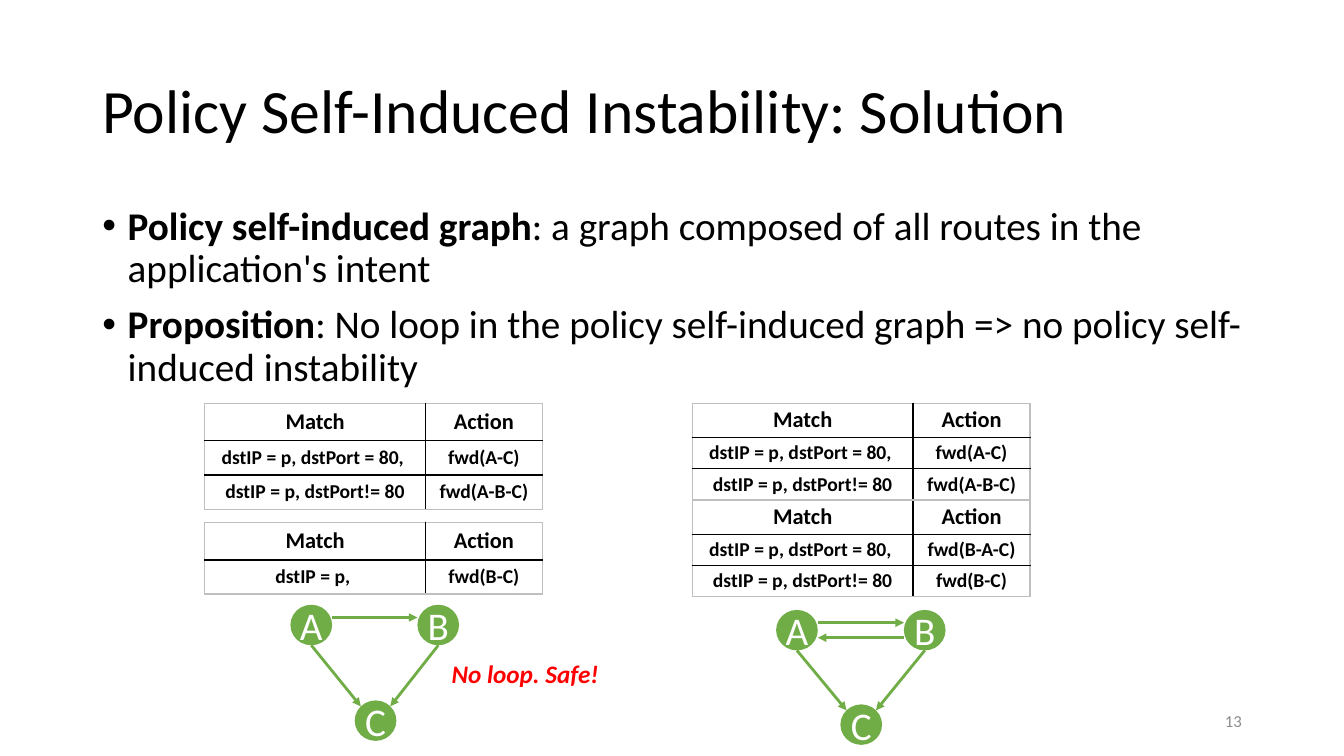
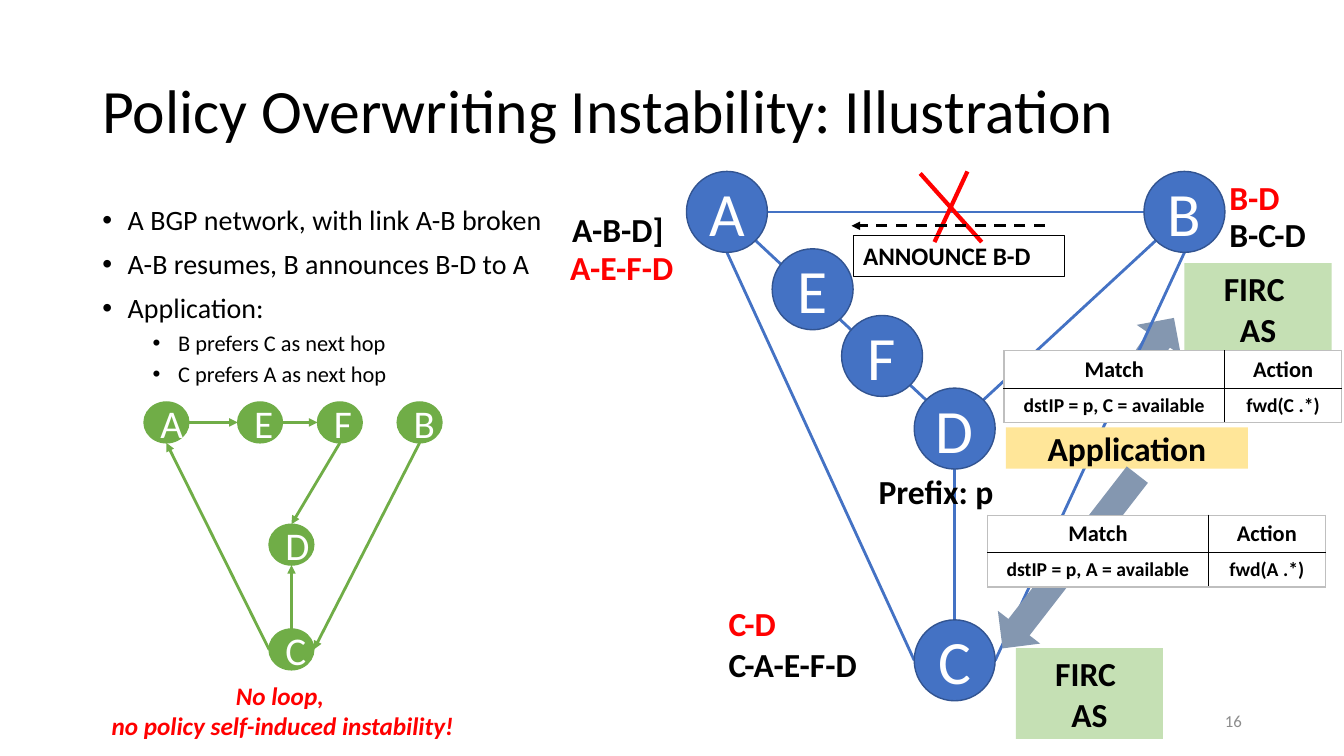
from math import cos, pi, sin

from lxml import etree
from pptx import Presentation
from pptx.dml.color import RGBColor
from pptx.enum.dml import MSO_LINE
from pptx.enum.shapes import MSO_CONNECTOR, MSO_SHAPE
from pptx.enum.text import MSO_ANCHOR, PP_ALIGN
from pptx.oxml.ns import qn
from pptx.util import Cm, Pt

OVAL = MSO_SHAPE.OVAL
RECT = MSO_SHAPE.RECTANGLE
DOWN = MSO_SHAPE.DOWN_ARROW
LINE = MSO_CONNECTOR.STRAIGHT
DASH = MSO_LINE.DASH
LEFT, MID, RIGHT = PP_ALIGN.LEFT, PP_ALIGN.CENTER, PP_ALIGN.RIGHT
TOP, CENTER = MSO_ANCHOR.TOP, MSO_ANCHOR.MIDDLE
FONT = "Calibri"
BLACK, WHITE, RED, GRAY = "000000", "FFFFFF", "FF0000", "8C8C8C"
GREEN, BLUE, NAVY, STEEL = "70AD47", "4472C4", "325491", "8497B0"
LIME, SAND, PALE = "C5E0B4", "FFE699", "BFBFBF"
hue = RGBColor.from_string


def put(page, kind, at, lines=(), size=24, ink=BLACK, bold=False, slant=False,
        align=LEFT, anchor=TOP, fill=None, edge=None, thick=1, pad=None):
    at = [Cm(n) for n in at]
    if kind is None:
        shape = page.shapes.add_textbox(*at)
    else:
        shape = page.shapes.add_shape(kind, *at)
        shape.shadow.inherit = False
        if fill:
            shape.fill.solid()
            shape.fill.fore_color.rgb = hue(fill)
        else:
            shape.fill.background()
        if edge:
            shape.line.color.rgb = hue(edge)
            shape.line.width = Pt(thick)
        else:
            shape.line.fill.background()
    frame = shape.text_frame
    frame.word_wrap = True
    frame.vertical_anchor = anchor
    if pad is not None:
        frame.margin_left = frame.margin_right = Cm(pad)
        frame.margin_top = frame.margin_bottom = Cm(pad)
    frame.text = "\n".join(lines)
    for para in frame.paragraphs:
        para.alignment = align
        for run in para.runs:
            run.font.name = FONT
            run.font.size = Pt(size)
            run.font.bold = bold
            run.font.italic = slant
            run.font.color.rgb = hue(ink)
    return shape


def wire(page, start, end, ink, thick=2, arrow=False):
    link = page.shapes.add_connector(LINE, *[Cm(n) for n in (*start, *end)])
    link.line.color.rgb = hue(ink)
    link.line.width = Pt(thick)
    props = link.line._get_or_add_ln()
    if arrow:
        etree.SubElement(props, qn("a:tailEnd"), type="triangle")
    etree.SubElement(props.getparent(), qn("a:effectLst"))
    return link


deck = Presentation()
deck.slide_width, deck.slide_height = Cm(33.87), Cm(19.05)

heads = [
    ("Policy Self-Induced Instability: Solution", "13", 29.21, 28, [
        (0, "Policy self-induced graph",
         ": a graph composed of all routes in the application's intent"),
        (0, "Proposition", ": No loop in the policy self-induced graph => "
         "no policy self-induced instability")]),
    ("Policy Overwriting Instability: Illustration", "16", 12.42, 20, [
        (0, "", "A BGP network, with link A-B broken"),
        (0, "", "A-B resumes, B announces B-D to A"),
        (0, "", "Application:"),
        (1, "", "B prefers C as next hop"),
        (1, "", "C prefers A as next hop")]),
]
pages = []
for title, number, width, size, items in heads:
    page = deck.slides.add_slide(deck.slide_layouts[6])
    pages.append(page)
    name = put(page, None, (2.33, 1.01, 29.21, 3.68), [title], 44, anchor=CENTER)
    name.text_frame.paragraphs[0].line_spacing = 0.9
    put(page, None, (23.93, 17.65, 7.62, 1.01), [number], 12, GRAY,
        align=RIGHT, anchor=CENTER)
    body = put(page, None, (2.33, 5.07, width, 12.09)).text_frame
    for i, (level, lead, rest) in enumerate(items):
        para = body.add_paragraph() if i else body.paragraphs[0]
        para.level = level
        para.line_spacing = 0.9
        if i:
            para.space_before = Pt(5 if level else 10)
        props = para._p.get_or_add_pPr()
        props.set("marL", str(Cm(1.91 if level else 0.64)))
        props.set("indent", str(-Cm(0.64)))
        etree.SubElement(props, qn("a:buFont"), typeface="Arial")
        etree.SubElement(props, qn("a:buChar"), char="•")
        for text, bold in ((lead, True), (rest, False)):
            if text:
                run = para.add_run()
                run.text = text
                run.font.name = FONT
                run.font.size = Pt(16 if level else size)
                run.font.bold = bold
                run.font.color.rgb = hue(BLACK)
first, second = pages

put(second, DOWN, (28.07, 7.75, 1.35, 2.97), fill=STEEL).rotation = 214.4

# Sites run counterclockwise from the top in steps of 45 degrees.
fork = [("A", 6, "B", 2, -0.19), ("A", 4, "C", 1, 0), ("B", 4, "C", 7, 0)]
graphs = [
    (first, 1.05, 1.02, 28, GREEN, None, 0, True,
     {"A": (7.32, 15.24), "B": (10.52, 15.24), "C": (8.94, 17.65)}, fork),
    (first, 1.05, 1.02, 28, GREEN, None, 0, True,
     {"A": (19.56, 15.37), "B": (22.78, 15.37), "C": (21.18, 17.75)},
     fork + [("B", 2, "A", 6, 0.19)]),
    (second, 2.04, 2.04, 44, BLUE, NAVY, None, False,
     {"A": (17.3, 4.32), "B": (28.83, 4.32), "C": (23.04, 15.62),
      "D": (23.04, 9.78), "E": (19.46, 6.27), "F": (21.21, 7.95)},
     [("A", 4, "C", 2, 0), ("B", 4, "C", 6, 0), ("A", 6, "B", 2, 0),
      ("A", 5, "D", 1, 0), ("B", 3, "D", 7, 0), ("D", 4, "C", 0, 0)]),
    (second, 1.13, 1.03, 28, GREEN, GREEN, None, True,
     {"A": (3.63, 10.13), "B": (10.01, 10.13), "C": (6.78, 15.85),
      "D": (6.78, 13.21), "E": (5.99, 10.13), "F": (8, 10.13)},
     [("C", 2, "A", 4, 0), ("B", 4, "C", 6, 0), ("C", 0, "D", 4, 0),
      ("A", 6, "E", 2, 0), ("F", 4, "D", 0, 0), ("E", 6, "F", 2, 0)]),
]
for page, wide, high, size, fill, edge, pad, arrow, nodes, links in graphs:
    spots = {}
    for name, (x, y) in nodes.items():
        for site in range(8):
            turn = site * pi / 4
            spots[name, site] = (x + wide / 2 * (1 - sin(turn)),
                                 y + high / 2 * (1 - cos(turn)))
    for tail, out, head, into, shift in links:
        (x1, y1), (x2, y2) = spots[tail, out], spots[head, into]
        wire(page, (x1, y1 + shift), (x2, y2 + shift), fill, arrow=arrow)
    for name, (x, y) in nodes.items():
        put(page, OVAL, (x, y, wide, high), [name], size, WHITE, align=MID,
            anchor=CENTER, fill=fill, edge=edge, pad=pad)

wire(second, (23.19, 4.37), (24.74, 6.1), RED, 3)
wire(second, (24.38, 4.32), (23.55, 6.1), RED, 3)
put(second, RECT, (21.5, 5.94, 5.33, 1.02), ["ANNOUNCE B-D"], 18, bold=True,
    edge=BLACK, thick=0.75)
news = wire(second, (26.34, 5.69), (21.46, 5.69), BLACK, arrow=True)
news.line.dash_style = DASH

labels = [
    ("A-B-D]", 14.17, 5.13, 3.2, BLACK),
    ("A-E-F-D", 14.12, 6.1, 3.4, RED),
    ("B-D", 30.73, 4.34, 3, RED),
    ("B-C-D", 30.73, 5.26, 3, BLACK),
    ("C-D", 18.11, 15.06, 4.3, RED),
    ("C-A-E-F-D", 18.11, 16.1, 4.3, BLACK),
    ("Prefix: p", 21.89, 11.73, 4, BLACK),
]
for text, x, y, width, ink in labels:
    put(second, None, (x, y, width, 1.27), [text], ink=ink, bold=True)

blocks = [
    (["Application"], 25.35, 10.77, 6.1, 1.04, SAND),
    (["FIRC ", "AS"], 29.85, 6.63, 3.71, 2.29, LIME),
    (["FIRC ", "AS"], 25.6, 16.33, 3.71, 2.29, LIME),
]
for lines, x, y, width, high, fill in blocks:
    put(second, RECT, (x, y, width, high), lines, bold=True, align=MID,
        anchor=CENTER, fill=fill)
put(second, DOWN, (26.29, 11.38, 1.35, 5.54), fill=STEEL).rotation = 37.8

put(first, None, (11.13, 16.46, 4.8, 1.02), ["No loop. Safe!"], 18, RED, True, True)
put(second, None, (1.99, 17.02, 10.27, 1.8),
    ["No loop, ", "no policy self-induced instability!"], 18, RED, True, True, MID)

web, other = "dstIP = p, dstPort = 80, ", "dstIP = p, dstPort!= 80"
tables = [
    (first, 5.16, 13.16, False, [("dstIP = p, ", "fwd(B-C)")]),
    (first, 5.16, 10.16, False, [(web, "fwd(A-C)"), (other, "fwd(A-B-C)")]),
    (first, 17.45, 12.6, True, [(web, "fwd(B-A-C)"), (other, "fwd(B-C)")]),
    (first, 17.45, 10.16, True, [(web, "fwd(A-C)"), (other, "fwd(A-B-C)")]),
    (second, 25.3, 8.84, False, [("dstIP = p, C = available", "fwd(C .*)")]),
    (second, 24.89, 12.98, False, [("dstIP = p, A = available", "fwd(A .*)")]),
]
for page, x, y, tight, rules in tables:
    rows = [("Match", "Action")] + rules
    tall, low = (0.86, 0.79) if tight else (0.95, 0.86)
    grid = page.shapes.add_table(len(rows), 2, Cm(x), Cm(y), Cm(8.51),
                                 Cm(tall + low * len(rules))).table
    grid.first_row = grid.horz_banding = False
    grid.columns[0].width, grid.columns[1].width = Cm(5.56), Cm(2.95)
    for r, row in enumerate(rows):
        grid.rows[r].height = Cm(low if r else tall)
        for c, text in enumerate(row):
            cell = grid.cell(r, c)
            cell.text = text
            cell.vertical_anchor = CENTER
            if tight:
                cell.margin_top = cell.margin_bottom = 0
            para = cell.text_frame.paragraphs[0]
            para.alignment = MID
            font = para.runs[0].font
            font.name, font.bold = FONT, True
            font.size = Pt(14 if r else 16)
            font.color.rgb = hue(BLACK)
            cell.fill.solid()
            cell.fill.fore_color.rgb = hue(WHITE)
            props = cell._tc.get_or_add_tcPr()
            outer = (c == 0, c == 1, r == 0, r == len(rules))
            for i, (side, rim) in enumerate(zip("LRTB", outer)):
                edge = etree.Element(qn("a:ln" + side), w=str(Pt(1)))
                ink = etree.SubElement(edge, qn("a:solidFill"))
                etree.SubElement(ink, qn("a:srgbClr"), val=PALE if rim else BLACK)
                props.insert(i, edge)

deck.save("out.pptx")
